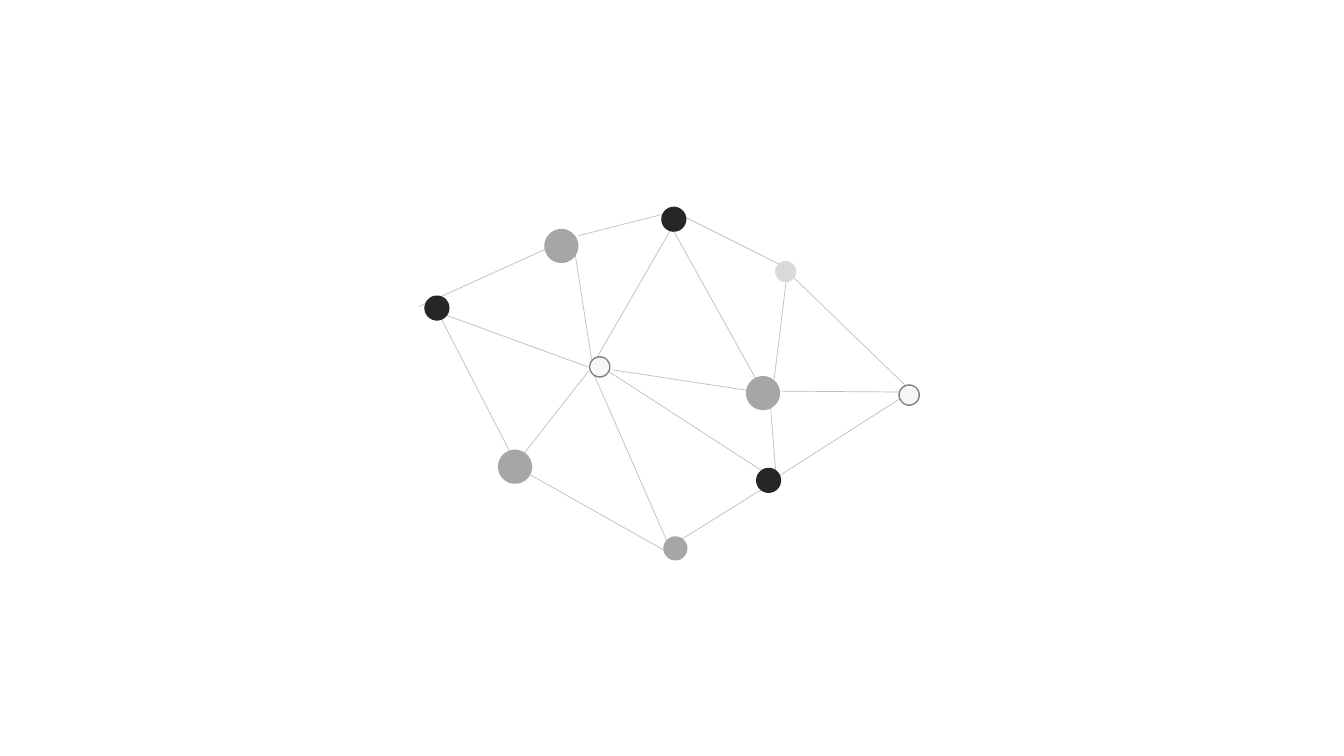
from dataclasses import dataclass
from typing import NamedTuple, Optional

from lxml.etree import SubElement
from pptx import Presentation
from pptx.dml.color import RGBColor
from pptx.enum.shapes import MSO_CONNECTOR, MSO_SHAPE
from pptx.oxml.ns import qn
from pptx.slide import Slide
from pptx.util import Pt


@dataclass(frozen=True)
class Theme:
    background: str = "FFFFFF"
    link: str = "BFBFBF"
    dark: str = "262626"
    grey: str = "A6A6A6"
    pale: str = "D9D9D9"
    hollow: str = "F7F7F7"
    ring: str = "808080"
    link_width: float = 0.5
    ring_width: float = 1


THEME = Theme()


class Kind(NamedTuple):
    diameter: float
    fill: str
    ring: Optional[str] = None


class Node(NamedTuple):
    kind: Kind
    center_x: float
    center_y: float


class Link(NamedTuple):
    start_x: float
    start_y: float
    end_x: float
    end_y: float


NODE_ROTATION = 82
HUB = Kind(24.5, THEME.grey)
DARK = Kind(18, THEME.dark)
GREY = Kind(17.3, THEME.grey)
PALE = Kind(15.1, THEME.pale)
HOLLOW = Kind(14.4, THEME.hollow, THEME.ring)

NODES = [
    Node(DARK, 481.3, 156.6),
    Node(HUB, 545, 280.8),
    Node(HOLLOW, 428.4, 262.1),
    Node(PALE, 561.2, 194),
    Node(HOLLOW, 649.4, 282.2),
    Node(GREY, 482.4, 391.7),
    Node(DARK, 549, 343.1),
    Node(HUB, 401, 175.7),
    Node(DARK, 312.1, 220),
    Node(HUB, 367.9, 333.4),
]

LINKS = [
    Link(412.6, 168.5, 475.2, 152.6),
    Link(543.6, 349.9, 478.8, 390.2),
    Link(546.5, 337.7, 429.8, 262.1),
    Link(549.4, 278.6, 554.4, 340.6),
    Link(565.2, 193, 490.3, 155.5),
    Link(542.2, 280.1, 437.8, 264.2),
    Link(547.2, 283.7, 475.9, 155.5),
    Link(482.4, 158.4, 423.4, 260.6),
    Link(562.3, 195.1, 553, 270.7),
    Link(477.4, 388.8, 424.1, 267.1),
    Link(567.4, 198.7, 651.6, 280.1),
    Link(558, 279.4, 653.8, 280.1),
    Link(552.2, 342.7, 650.2, 280.1),
    Link(422.6, 257, 409.7, 174.2),
    Link(299.5, 218.9, 409, 169.2),
    Link(307.4, 221, 421.9, 262.8),
    Link(368.6, 331.2, 420.5, 265),
    Link(368.6, 333.4, 474.5, 393.1),
    Link(368.6, 331.2, 313.2, 223.9),
]


def draw_link(page: Slide, link: Link) -> None:
    connector = page.shapes.add_connector(
        MSO_CONNECTOR.STRAIGHT, *(Pt(length) for length in link)
    )
    connector.line.color.rgb = RGBColor.from_string(THEME.link)
    connector.line.width = Pt(THEME.link_width)
    SubElement(connector.element.spPr, qn("a:effectLst"))


def draw_node(page: Slide, node: Node) -> None:
    kind = node.kind
    radius = kind.diameter / 2
    circle = page.shapes.add_shape(
        MSO_SHAPE.OVAL,
        Pt(node.center_x - radius),
        Pt(node.center_y - radius),
        Pt(kind.diameter),
        Pt(kind.diameter),
    )
    circle.rotation = NODE_ROTATION
    circle.shadow.inherit = False
    circle.fill.solid()
    circle.fill.fore_color.rgb = RGBColor.from_string(kind.fill)
    if kind.ring:
        circle.line.color.rgb = RGBColor.from_string(kind.ring)
        circle.line.width = Pt(THEME.ring_width)
    else:
        circle.line.fill.background()


def main() -> None:
    deck = Presentation()
    deck.slide_width, deck.slide_height = Pt(960), Pt(540)
    page = deck.slides.add_slide(deck.slide_layouts[6])
    page.background.fill.solid()
    page.background.fill.fore_color.rgb = RGBColor.from_string(THEME.background)
    for link in LINKS:
        draw_link(page, link)
    for node in NODES:
        draw_node(page, node)
    deck.save("out.pptx")


if __name__ == "__main__":
    main()
